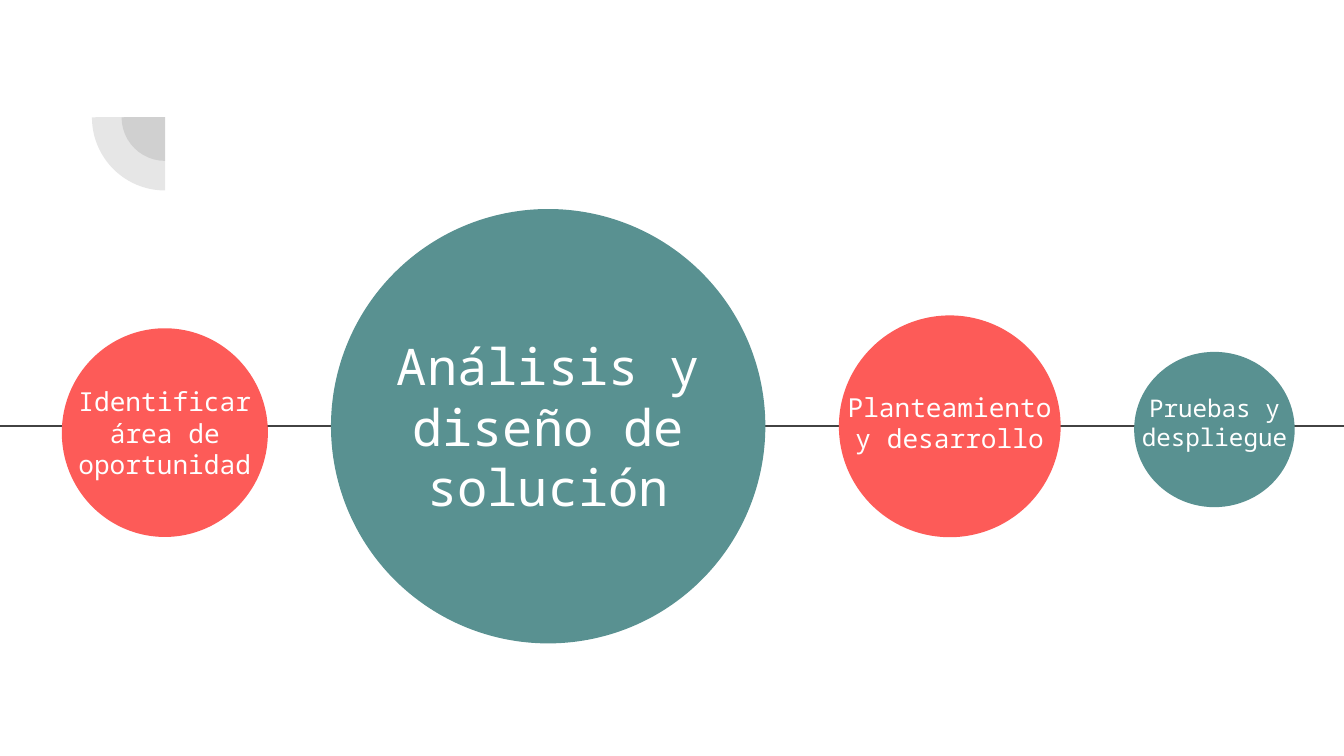
from lxml import etree
from pptx import Presentation
from pptx.dml.color import RGBColor
from pptx.enum.shapes import MSO_CONNECTOR, MSO_SHAPE
from pptx.enum.text import MSO_ANCHOR, PP_ALIGN
from pptx.oxml.ns import qn
from pptx.util import Pt

CORAL = RGBColor(0xFD, 0x5B, 0x58)
TEAL = RGBColor(0x59, 0x91, 0x91)
CHARCOAL = RGBColor(0x42, 0x42, 0x42)
WHITE = RGBColor(0xFF, 0xFF, 0xFF)

PIE = MSO_SHAPE.PIE
OVAL = MSO_SHAPE.OVAL
STRAIGHT = MSO_CONNECTOR.STRAIGHT
MIDDLE = MSO_ANCHOR.MIDDLE
CENTER = PP_ALIGN.CENTER

FONT = "Noto Sans Mono"
TIMELINE_Y = 228.25
LABEL_HEIGHT = 47.5
CORNER_X, CORNER_Y = 88.5, 62.8
CORNER_RADII = (23.4, 39.25)

STAGES = [
    ("Identificar área de oportunidad", CORAL, (33.1, 175.9, 110.4, 111.8), 118.8, 208.1, 14),
    ("Análisis y diseño de solución", TEAL, (177.3, 112, 232.7, 232.7), 232.7, 204.5, 27),
    ("Planteamiento y desarrollo", CORAL, (449.4, 169, 118.8, 118.8), 128.2, 202.5, 14),
    ("Pruebas y despliegue", TEAL, (607.6, 188.5, 86, 83.2), 92.9, 202.5, 13),
]


def add_filled_shape(slide, kind, left, top, width, height, color):
    shape = slide.shapes.add_shape(kind, Pt(left), Pt(top), Pt(width), Pt(height))
    shape.shadow.inherit = False
    shape.fill.solid()
    shape.fill.fore_color.rgb = color
    shape.line.fill.background()
    return shape


def add_corner_quarter(slide, radius):
    shape = add_filled_shape(
        slide, PIE, CORNER_X - radius, CORNER_Y - radius, 2 * radius, 2 * radius, CHARCOAL
    )
    shape.adjustments[0] = 54
    shape.adjustments[1] = 108
    color = shape.fill._xPr.find(qn("a:solidFill"))[0]
    etree.SubElement(color, qn("a:alpha"), val="13000")


def add_timeline(slide, width):
    line = slide.shapes.add_connector(STRAIGHT, Pt(0), Pt(TIMELINE_Y), width, Pt(TIMELINE_Y))
    line.line.color.rgb = CHARCOAL
    line.line.width = Pt(1.5)
    etree.SubElement(line._element.spPr, qn("a:effectLst"))


def add_label(slide, text, center_x, top, width, size):
    box = slide.shapes.add_textbox(
        Pt(center_x - width / 2), Pt(top), Pt(width), Pt(LABEL_HEIGHT)
    )
    frame = box.text_frame
    frame.word_wrap = True
    frame.vertical_anchor = MIDDLE
    frame.margin_left = frame.margin_right = Pt(7.2)
    frame.margin_top = frame.margin_bottom = Pt(7.2)
    frame.text = text
    paragraph = frame.paragraphs[0]
    paragraph.alignment = CENTER
    font = paragraph.runs[0].font
    font.name = FONT
    font.size = Pt(size)
    font.color.rgb = WHITE


def add_stage(slide, text, color, circle, label_width, label_top, size):
    left, top, width, height = circle
    add_filled_shape(slide, OVAL, left, top, width, height, color)
    add_label(slide, text, left + width / 2, label_top, label_width, size)


def main():
    presentation = Presentation()
    presentation.slide_width = Pt(720)
    presentation.slide_height = Pt(405)
    slide = presentation.slides.add_slide(presentation.slide_layouts[6])
    for radius in CORNER_RADII:
        add_corner_quarter(slide, radius)
    add_timeline(slide, presentation.slide_width)
    for stage in STAGES:
        add_stage(slide, *stage)
    presentation.save("out.pptx")


if __name__ == "__main__":
    main()
